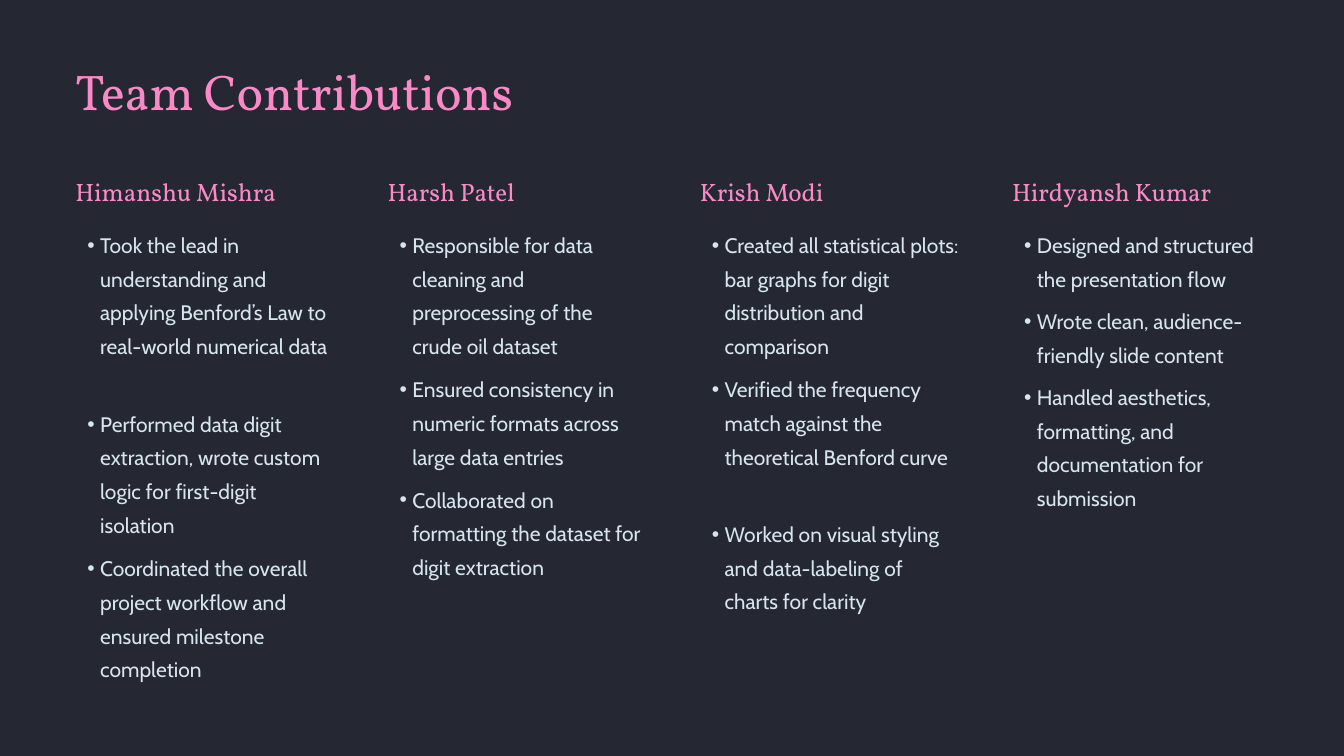
from dataclasses import dataclass

from lxml import etree
from pptx import Presentation
from pptx.dml.color import RGBColor
from pptx.enum.text import MSO_ANCHOR, MSO_AUTO_SIZE, PP_ALIGN
from pptx.oxml.ns import qn
from pptx.util import Inches, Pt

TOP = MSO_ANCHOR.TOP
LEFT = PP_ALIGN.LEFT
NO_FIT = MSO_AUTO_SIZE.NONE
TITLE_ONLY = 5

SLIDE_W, SLIDE_H = 20, 11.25
MARGIN, LAST_COLUMN = 1.12, 15.06
NAME_TOP, LIST_TOP = 2.61, 3.33
NAME_W, NAME_H = 3.75, 0.48
BULLET_W = 3.86
ROW_H = 0.51       # one line of bullet text
BOX_PAD = 0.07     # added to the rows of a bullet box
BOX_GAP = 0.04     # between two bullet boxes
BULLET_INDENT, BULLET_HANG = 0.37, 0.19


@dataclass(frozen=True)
class TextStyle:
    font: str
    size: float
    leading: float
    color: RGBColor


@dataclass(frozen=True)
class Theme:
    backdrops: tuple[RGBColor, ...]
    title: TextStyle
    name: TextStyle
    bullet: TextStyle


@dataclass(frozen=True)
class Task:
    text: str
    rows: int


@dataclass(frozen=True)
class Member:
    name: str
    tasks: tuple[Task, ...]


PINK, PALE = RGBColor(0xF9, 0x8A, 0xC7), RGBColor(0xD6, 0xE5, 0xEF)
THEME = Theme(
    backdrops=(RGBColor(0x18, 0x1A, 0x24), RGBColor(0x25, 0x28, 0x33)),
    title=TextStyle("Vollkorn", 53.7, 67.5, PINK),
    name=TextStyle("Vollkorn", 26.9, 33.7, PINK),
    bullet=TextStyle("Cabin", 22.5, 36.2, PALE),
)

TEAM = (
    Member("Himanshu Mishra", (
        Task("Took the lead in understanding and applying Benford’s Law to "
             "real-world numerical data", 5),
        Task("Performed data digit extraction, wrote custom logic for "
             "first-digit isolation", 4),
        Task("Coordinated the overall project workflow and ensured milestone "
             "completion", 4),
    )),
    Member("Harsh Patel", (
        Task("Responsible for data cleaning and preprocessing of the crude oil "
             "dataset", 4),
        Task("Ensured consistency in numeric formats across large data entries", 3),
        Task("Collaborated on formatting the dataset for digit extraction", 3),
    )),
    Member("Krish Modi", (
        Task("Created all statistical plots: bar graphs for digit distribution "
             "and comparison", 4),
        Task("Verified the frequency match against the theoretical Benford curve", 4),
        Task("Worked on visual styling and data-labeling of charts for clarity", 3),
    )),
    Member("Hirdyansh Kumar", (
        Task("Designed and structured the presentation flow", 2),
        Task("Wrote clean, audience-friendly slide content", 2),
        Task("Handled aesthetics, formatting, and documentation for submission", 4),
    )),
)
COLUMN_PITCH = (LAST_COLUMN - MARGIN) / (len(TEAM) - 1)


def add_backdrop(s, color: RGBColor) -> None:
    w, h = Inches(SLIDE_W), Inches(SLIDE_H)
    outline = s.shapes.build_freeform(0, 0)
    outline.add_line_segments([(w, 0), (w, h), (0, h)], close=True)
    sp = outline.convert_to_shape()
    sp.shadow.inherit = False
    sp.fill.solid()
    sp.fill.fore_color.rgb = color
    sp.line.fill.background()


def write(sp, text: str, style: TextStyle, bulleted: bool = False) -> None:
    tf = sp.text_frame
    tf.margin_left = tf.margin_top = tf.margin_right = tf.margin_bottom = 0
    tf.word_wrap = True
    tf.auto_size = NO_FIT
    tf.vertical_anchor = TOP
    tf.text = text
    p = tf.paragraphs[0]
    p.alignment = LEFT
    p.line_spacing = Pt(style.leading)
    p.space_before = Pt(0)
    if bulleted:
        add_bullet(p)
    font = p.runs[0].font
    font.name = style.font
    font.size = Pt(style.size)
    font.color.rgb = style.color


def add_bullet(p) -> None:
    p.level = 1
    ppr = p._p.get_or_add_pPr()
    ppr.set("marL", str(Inches(BULLET_INDENT)))
    ppr.set("indent", str(-Inches(BULLET_HANG)))
    etree.SubElement(ppr, qn("a:buFont"), typeface="Arial")
    etree.SubElement(ppr, qn("a:buChar"), char="•")


def add_text(s, left: float, top: float, width: float, height: float,
             text: str, style: TextStyle, bulleted: bool = False) -> None:
    sp = s.shapes.add_textbox(*map(Inches, (left, top, width, height)))
    write(sp, text, style, bulleted)


def add_title(s, text: str) -> None:
    """Fill the title placeholder and raise it above the backdrops."""
    sp = s.shapes.title
    sp.left, sp.top, sp.width, sp.height = map(Inches, (MARGIN, 0.85, 7.51, 0.96))
    write(sp, text, THEME.title)
    s.shapes._spTree.append(sp._element)


def add_member(s, column: int, member: Member) -> None:
    left = MARGIN + column * COLUMN_PITCH
    add_text(s, left, NAME_TOP, NAME_W, NAME_H, member.name, THEME.name)
    top = LIST_TOP
    for task in member.tasks:
        height = task.rows * ROW_H + BOX_PAD
        add_text(s, left, top, BULLET_W, height, task.text, THEME.bullet, True)
        top += height + BOX_GAP


def main() -> None:
    prs = Presentation()
    prs.slide_width, prs.slide_height = Inches(SLIDE_W), Inches(SLIDE_H)
    s = prs.slides.add_slide(prs.slide_layouts[TITLE_ONLY])
    for color in THEME.backdrops:
        add_backdrop(s, color)
    add_title(s, "Team Contributions")
    for column, member in enumerate(TEAM):
        add_member(s, column, member)
    prs.save("out.pptx")


if __name__ == "__main__":
    main()
